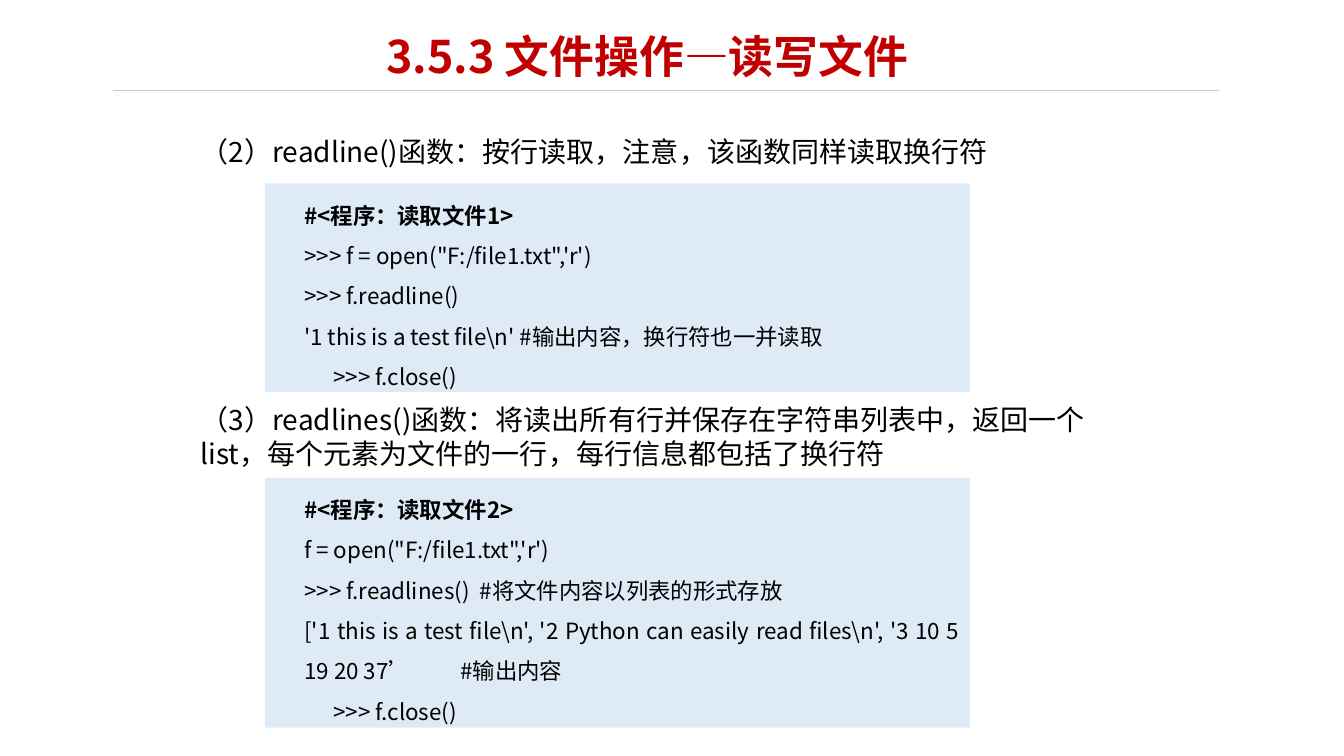
"""Build the slide on reading files with readline() and readlines()."""
from lxml import etree
from pptx import Presentation
from pptx import util as u
from pptx.dml.color import RGBColor
from pptx.enum import shapes, text
from pptx.oxml.ns import qn

COLORS = {"title": "C00000", "text": "000000", "panel": "DEEAF6", "rule": "C9C9C9"}
FONT = "Noto Sans CJK SC"
INDENT = u.Inches(0.29)

prs = Presentation()
prs.slide_width, prs.slide_height = u.Inches(13.33), u.Inches(7.5)
s = prs.slides.add_slide(prs.slide_layouts[1])


def share(x, y, *size):
    """Turn percentages of the slide's width and height into lengths."""
    sides = (prs.slide_width, prs.slide_height) * 2
    return [int(side * part / 100) for side, part in zip(sides, (x, y, *size))]


def write(tf, content, size, first=False, color="text", bold=False, left=0,
          align=text.PP_ALIGN.LEFT, before=0, leading=1.2, tab=None):
    """Write one formatted paragraph into a text frame."""
    p = tf.paragraphs[0] if first else tf.add_paragraph()
    p.alignment = align
    p.line_spacing = u.Pt(round(size * leading, 1))
    p.space_before, p.space_after = u.Pt(before), u.Pt(0)
    pPr = p._p.get_or_add_pPr()
    pPr.set("marL", str(left))
    pPr.set("indent", "0")
    etree.SubElement(pPr, qn("a:buNone"))
    if tab:
        stops = etree.SubElement(pPr, qn("a:tabLst"))
        etree.SubElement(stops, qn("a:tab"), pos=str(tab), algn="l")
    r = p.add_run()
    r.text = content
    r.font.name, r.font.size, r.font.bold = FONT, u.Pt(size), bold
    r.font.color.rgb = RGBColor.from_string(COLORS[color])
    etree.SubElement(r._r.get_or_add_rPr(), qn("a:ea"), typeface=FONT)


rule = s.shapes.add_connector(shapes.MSO_CONNECTOR.STRAIGHT, *share(8.4, 12, 90.7, 12))
rule.line.color.rgb = RGBColor.from_string(COLORS["rule"])
rule.line.width = u.Pt(1)
etree.SubElement(rule._element.spPr, qn("a:effectLst"))

title, body = s.shapes.title, s.placeholders[1]
for sp, place in ((title, (15.83, 2.93, 64.67, 9.47)), (body, (14.18, 17.07, 68.27, 46.27))):
    sp.left, sp.top, sp.width, sp.height = share(*place)
    sp.text_frame.word_wrap = True
    sp.text_frame.auto_size = text.MSO_AUTO_SIZE.NONE
title.text_frame.vertical_anchor = text.MSO_ANCHOR.MIDDLE
body.text_frame.vertical_anchor = text.MSO_ANCHOR.TOP

write(title.text_frame, "3.5.3 文件操作—读写文件", 32, first=True, color="title",
      bold=True, align=text.PP_ALIGN.CENTER, leading=1.08)
write(body.text_frame, "（2）readline()函数：按行读取，注意，该函数同样读取换行符", 20, first=True)
write(body.text_frame, "（3）readlines()函数：将读出所有行并保存在字符串列表中，返回一个list，"
      "每个元素为文件的一行，每行信息都包括了换行符", 20, before=168)

panels = [
    (24.27, 27.6, [
        "#<程序：读取文件1>",
        ">>> f = open(\"F:/file1.txt\",'r')",
        ">>> f.readline()",
        "'1 this is a test file\\n' #输出内容，换行符也一并读取",
        ">>> f.close()"]),
    (63.2, 33.07, [
        "#<程序：读取文件2>",
        "f = open(\"F:/file1.txt\",'r')",
        ">>> f.readlines()  #将文件内容以列表的形式存放",
        "['1 this is a test file\\n', '2 Python can easily read files\\n', "
        "'3 10 5 19 20 37’\t #输出内容",
        ">>> f.close()"]),
]
for top, height, lines in panels:
    sp = s.shapes.add_shape(shapes.MSO_SHAPE.RECTANGLE, *share(19.73, top, 52.44, height))
    sp.shadow.inherit = False
    sp.fill.solid()
    sp.fill.fore_color.rgb = RGBColor.from_string(COLORS["panel"])
    sp.line.fill.background()
    tf = sp.text_frame
    tf.word_wrap = True
    tf.vertical_anchor = text.MSO_ANCHOR.TOP
    for i, line in enumerate(lines):
        write(tf, line, 16, first=i == 0, bold=i == 0, leading=1.8,
              left=INDENT * (2 if line.endswith("close()") else 1),
              align=text.PP_ALIGN.JUSTIFY,
              tab=u.Inches(2.36) if "\t" in line else None)

prs.save("out.pptx")
